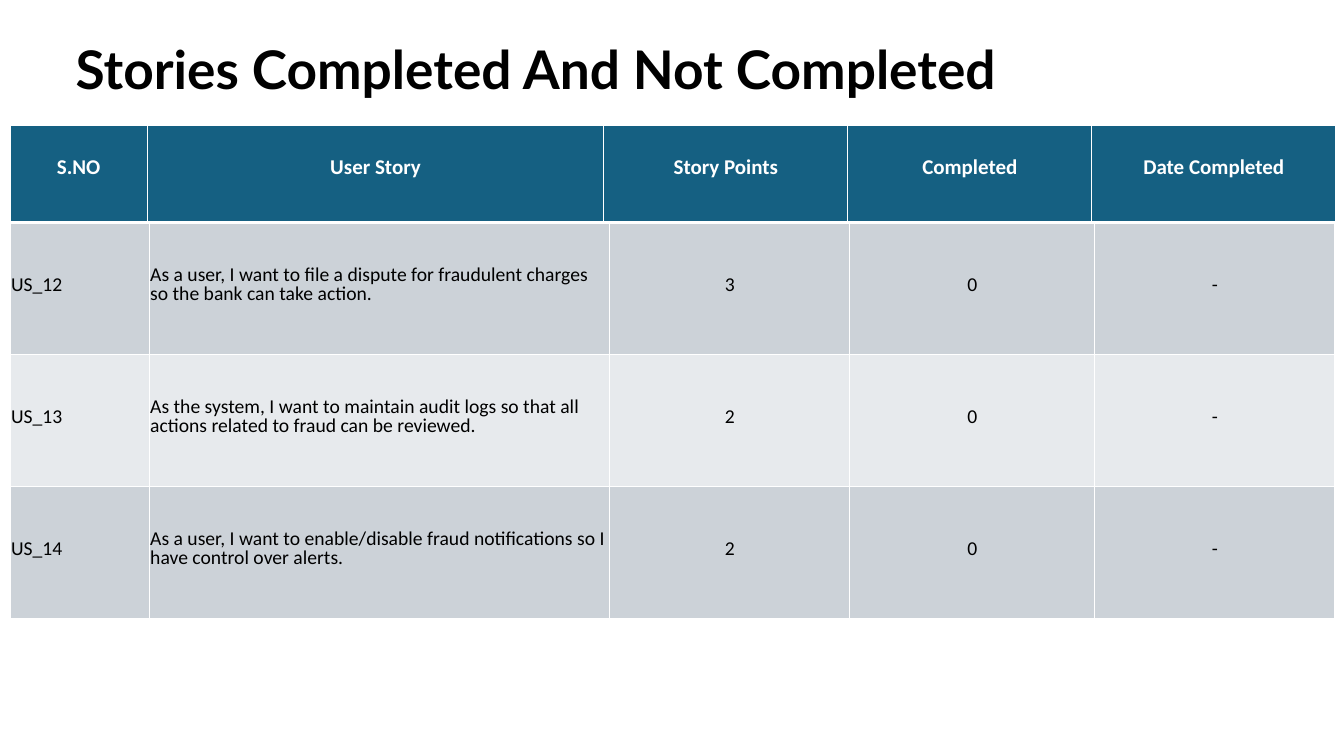
from lxml import etree
from pptx import Presentation
from pptx import util as u
from pptx.dml.color import RGBColor
from pptx.enum import text
from pptx.oxml.ns import qn

BLACK = RGBColor(0x00, 0x00, 0x00)
WHITE = RGBColor(0xFF, 0xFF, 0xFF)
TEAL = RGBColor(0x15, 0x60, 0x82)
GREY = RGBColor(0xCC, 0xD2, 0xD8)
PALE = RGBColor(0xE7, 0xEA, 0xED)

LEFT = 0.1
HEADER_TOP = 1.24
HEADER_HEIGHT = 0.97
STORY_HEIGHT = 1.31
HEADER_COLUMNS = [1.36, 4.53] + [2.42] * 3
STORY_COLUMNS = [1.38, 4.57, 2.38, 2.43, 2.38]
THIN = 0.79
HEADER_RULE = 2.03
TOP_RULE = 2.38

HEADINGS = ["S.NO", "User Story", "Story Points", "Completed", "Date Completed"]
STORIES = [
    ["US_12", "As a user, I want to file a dispute for fraudulent charges so the bank can take action.", "3", "0", "-"],
    ["US_13", "As the system, I want to maintain audit logs so that all actions related to fraud can be reviewed.", "2", "0", "-"],
    ["US_14", "As a user, I want to enable/disable fraud notifications so I have control over alerts.", "2", "0", "-"],
]


def add_run(paragraph, words, font_name, size, color, bold):
    run = paragraph.add_run()
    run.text = words
    run.font.name = font_name
    run.font.size = u.Pt(size)
    run.font.color.rgb = color
    run.font.bold = bold


def add_title(slide, words):
    title = slide.shapes.title
    title.left, title.top = u.Inches(0.65), u.Inches(-0.01)
    title.width, title.height = u.Inches(11.5), u.Inches(1.45)
    frame = title.text_frame
    frame.word_wrap = True
    frame.auto_size = text.MSO_AUTO_SIZE.NONE
    frame.vertical_anchor = text.MSO_ANCHOR.MIDDLE
    heading = frame.paragraphs[0]
    heading.alignment = text.PP_ALIGN.LEFT
    heading.line_spacing = 0.9
    add_run(heading, words, "Lato", 38, BLACK, True)


def set_borders(cell, top, bottom):
    properties = cell._tc.get_or_add_tcPr()
    for side, points in (("L", THIN), ("R", THIN), ("T", top), ("B", bottom)):
        line = etree.SubElement(properties, qn(f"a:ln{side}"), w=str(u.Pt(points)))
        fill = etree.SubElement(line, qn("a:solidFill"))
        etree.SubElement(fill, qn("a:srgbClr"), val=str(WHITE))


def fill_cell(cell, words, fill, alignment, spacing, size, color, bold, top, bottom):
    set_borders(cell, top, bottom)
    cell.fill.solid()
    cell.fill.fore_color.rgb = fill
    cell.vertical_anchor = text.MSO_ANCHOR.MIDDLE
    cell.margin_left = cell.margin_right = cell.margin_top = u.Inches(0.01)
    cell.margin_bottom = u.Inches(0.05)
    paragraph = cell.text_frame.paragraphs[0]
    paragraph.alignment = alignment
    paragraph.line_spacing = u.Pt(spacing)
    add_run(paragraph, words, "Calibri", size, color, bold)


def add_grid(slide, top, columns, row_count, row_height):
    grid = slide.shapes.add_table(
        row_count, len(columns), u.Inches(LEFT), u.Inches(top),
        u.Inches(sum(columns)), u.Inches(row_count * row_height)).table
    for column, width in zip(grid.columns, columns):
        column.width = u.Inches(width)
    for row in grid.rows:
        row.height = u.Inches(row_height)
    return grid


def add_stories(slide):
    grid = add_grid(slide, HEADER_TOP + HEADER_HEIGHT, STORY_COLUMNS, len(STORIES), STORY_HEIGHT)
    grid.first_row = False
    for row, story in enumerate(STORIES):
        for column, words in enumerate(story):
            alignment = text.PP_ALIGN.LEFT if column < 2 else text.PP_ALIGN.CENTER
            fill_cell(grid.cell(row, column), words, PALE if row % 2 else GREY, alignment,
                      13.5, 14, BLACK, False, THIN if row else TOP_RULE, THIN)


def add_header(slide):
    grid = add_grid(slide, HEADER_TOP, HEADER_COLUMNS, 1, HEADER_HEIGHT)
    for column, words in enumerate(HEADINGS):
        fill_cell(grid.cell(0, column), words, TEAL, text.PP_ALIGN.CENTER,
                  12, 15, WHITE, True, THIN, HEADER_RULE)


def main():
    deck = Presentation()
    deck.slide_width, deck.slide_height = u.Inches(13.33), u.Inches(7.5)
    slide = deck.slides.add_slide(deck.slide_layouts[5])
    add_title(slide, "Stories Completed And Not Completed")
    add_stories(slide)
    add_header(slide)
    deck.save("out.pptx")


if __name__ == "__main__":
    main()
